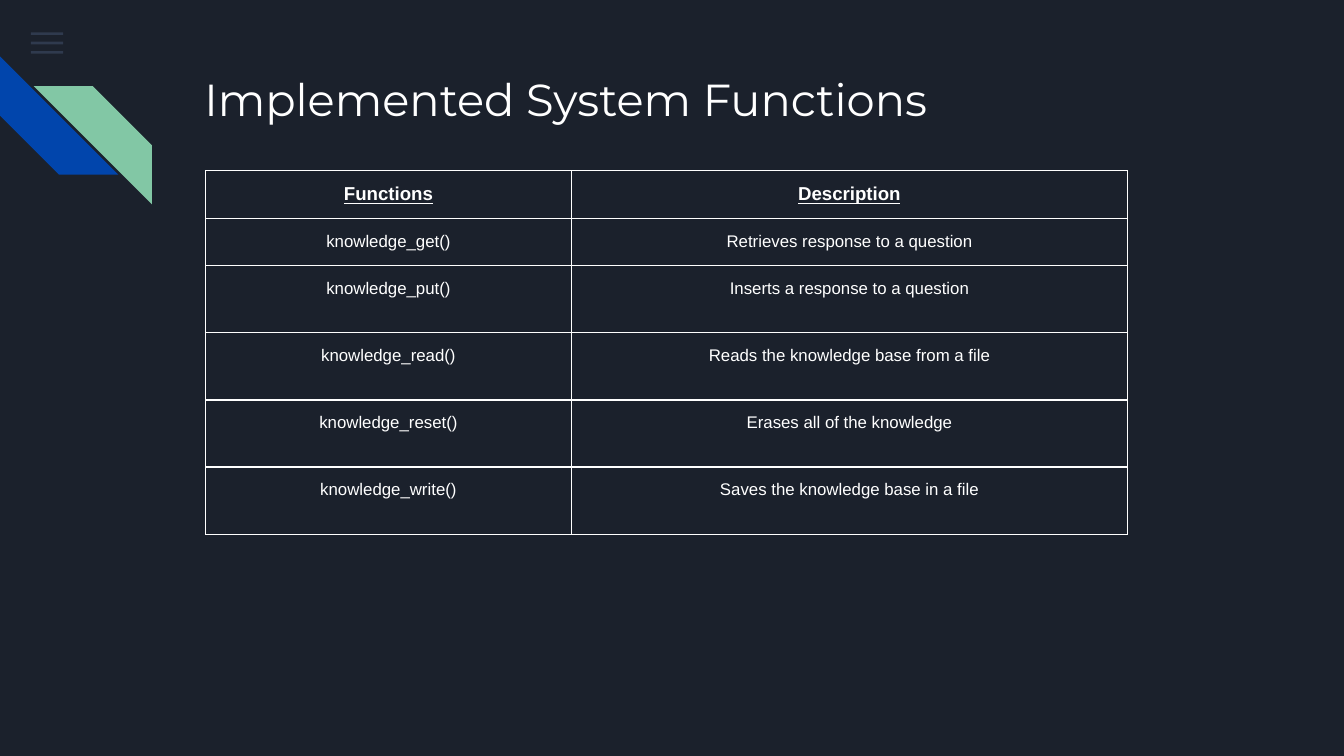
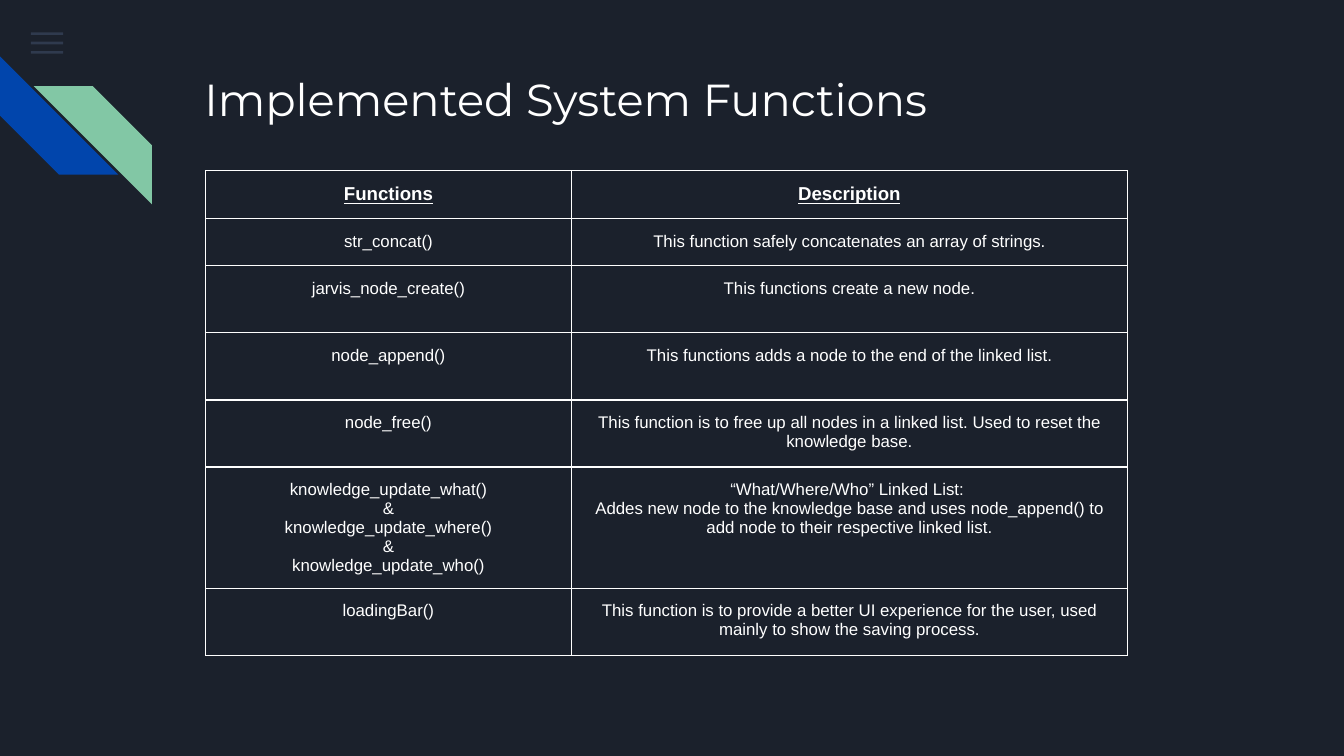
from pptx import Presentation
from pptx.dml.color import RGBColor
from pptx.enum import shapes, text
from pptx.oxml import parse_xml, ns
from pptx.util import Inches, Pt

NAVY = RGBColor(0x1B, 0x21, 0x2C)
SLATE = RGBColor(0x55, 0x68, 0x8B)
BLUE = RGBColor(0x01, 0x45, 0xAC)
GREEN = RGBColor(0x82, 0xC7, 0xA5)
WHITE = RGBColor(0xFF, 0xFF, 0xFF)

TITLE = "Implemented System Functions"
HEADINGS = ("Functions", "Description")
COLUMN_WIDTHS = (2.72, 1.85, 2.29)
FIRST_HEIGHTS, ROW_HEIGHT = [0.32, 0.35], 0.5

FUNCTION_LISTS = [
    [
        ("knowledge_get()", "Retrieves response to a question"),
        ("knowledge_put()", "Inserts a response to a question"),
        ("knowledge_read()", "Reads the knowledge base from a file"),
        ("knowledge_reset()", "Erases all of the knowledge"),
        ("knowledge_write()", "Saves the knowledge base in a file"),
    ],
    [
        ("str_concat()", "This function safely concatenates an array of strings."),
        ("jarvis_node_create()", "This functions create a new node."),
        ("node_append()", "This functions adds a node to the end of the linked list."),
        ("node_free()", "This function is to free up all nodes in a linked list. "
                        "Used to reset the knowledge base."),
        ("knowledge_update_what()\n&\nknowledge_update_where()\n&\nknowledge_update_who()",
         "“What/Where/Who” Linked List: \n"
         "Addes new node to the knowledge base and uses node_append() "
         "to add node to their respective linked list."),
        ("loadingBar()", "This function is to provide a better UI experience for the user, "
                         "used mainly to show the saving process."),
    ],
]


def write(frame, words, size, font="Arial", align=text.PP_ALIGN.CENTER,
          bold=False, underline=False):
    """Fill a text frame, one paragraph for each line of words."""
    frame.text = words
    frame.word_wrap = True
    for para in frame.paragraphs:
        para.alignment = align
        for span in para.runs:
            span.font.name = font
            span.font.size = Pt(size)
            span.font.bold = bold
            span.font.underline = underline
            span.font.color.rgb = WHITE


def add_solid(page, kind, color, left, top, width, height):
    """Add a preset shape with a plain fill and no line or shadow."""
    shape = page.shapes.add_shape(
        kind, Inches(left), Inches(top), Inches(width), Inches(height))
    shape.shadow.inherit = False
    shape.fill.solid()
    shape.fill.fore_color.rgb = color
    shape.line.fill.background()
    return shape


# Widescreen deck, 16:9
deck = Presentation()
deck.slide_width, deck.slide_height = Inches(10), Inches(10 * 9 / 16)
deck.slide_master.background.fill.solid()
deck.slide_master.background.fill.fore_color.rgb = NAVY

for functions in FUNCTION_LISTS:
    page = deck.slides.add_slide(deck.slide_layouts[5])

    # Menu icon: three translucent bars
    for index in range(3):
        bar = add_solid(page, shapes.MSO_SHAPE.RECTANGLE, SLATE,
                        0.23, 0.24 + 0.07 * index, 0.24, 0.02)
        for color in bar.element.spPr.iter(ns.qn("a:srgbClr")):
            color.append(parse_xml(f'<a:alpha {ns.nsdecls("a")} val="36000"/>'))

    # Corner stripes
    stripe = add_solid(page, shapes.MSO_SHAPE.DIAGONAL_STRIPE, BLUE, 0, 0.42, 0.88, 0.88)
    stripe.rotation = 270
    stripe = add_solid(page, shapes.MSO_SHAPE.DIAGONAL_STRIPE, GREEN, 0.25, 0.64, 0.88, 0.88)
    stripe.element.spPr.xfrm.set("flipH", "1")

    # Title
    title = page.shapes.title
    title.left, title.top = Inches(1.42), Inches(0.43)
    title.width, title.height = Inches(7.7), Inches(1)
    frame = title.text_frame
    frame.margin_left = frame.margin_right = Inches(0.1)
    frame.margin_top = frame.margin_bottom = Inches(0.1)
    frame.vertical_anchor = text.MSO_ANCHOR.TOP
    frame.auto_size = text.MSO_AUTO_SIZE.NONE
    write(frame, TITLE, 24, font="Montserrat", align=text.PP_ALIGN.LEFT)

    # Table: the description spans the last two columns, rows grow with their text
    rows = [HEADINGS] + functions
    heights = FIRST_HEIGHTS + [ROW_HEIGHT] * (len(rows) - len(FIRST_HEIGHTS))
    table = page.shapes.add_table(
        len(rows), len(COLUMN_WIDTHS), Inches(1.53), Inches(1.27),
        Inches(sum(COLUMN_WIDTHS)), Inches(sum(heights))).table
    table.horz_banding = False
    for column, width in zip(table.columns, COLUMN_WIDTHS):
        column.width = Inches(width)

    for index, (row, height) in enumerate(zip(rows, heights)):
        table.rows[index].height = Inches(height)
        table.cell(index, 1).merge(table.cell(index, 2))
        heading = index == 0
        for column, words in enumerate(row):
            write(table.cell(index, column).text_frame, words, 10 if heading else 9,
                  bold=heading, underline=heading)

    for cell in table.iter_cells():
        cell.margin_left = cell.margin_right = Inches(0.1)
        cell.margin_top = cell.margin_bottom = Inches(0.1)
        properties = cell._tc.get_or_add_tcPr()
        for side in "LRTB":
            properties.append(parse_xml(
                f'<a:ln{side} {ns.nsdecls("a")} w="{Pt(0.75)}"><a:solidFill>'
                f'<a:srgbClr val="{WHITE}"/></a:solidFill></a:ln{side}>'))
        cell.fill.background()

deck.save("out.pptx")
